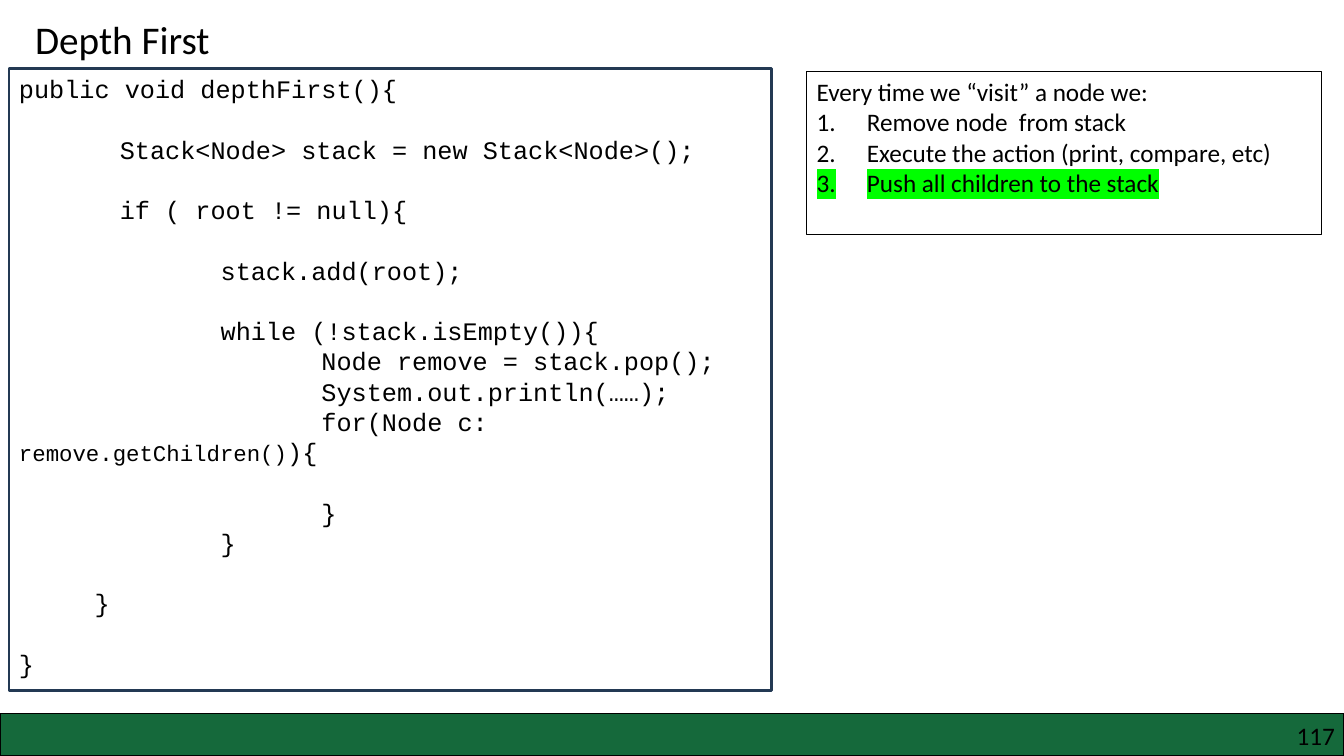
from lxml import etree
from pptx import Presentation
from pptx.dml.color import RGBColor
from pptx.enum.shapes import MSO_SHAPE
from pptx.enum.text import MSO_ANCHOR, PP_ALIGN
from pptx.oxml.ns import qn
from pptx.util import Inches, Pt

RECT = MSO_SHAPE.RECTANGLE
TOP = MSO_ANCHOR.TOP
LEFT, RIGHT = PP_ALIGN.LEFT, PP_ALIGN.RIGHT
LINE_PITCH = 21.6


def rgb(hex_color):
    return RGBColor.from_string(hex_color)


class SlideBuilder:
    body_font = "Calibri"
    code_font = "Courier New"
    ink = "000000"

    def __init__(self, slide):
        self.s = slide

    def style(self, r, size=18, font=None, highlight=None):
        r.font.size = Pt(size)
        r.font.name = font or self.body_font
        r.font.color.rgb = rgb(self.ink)
        if highlight:
            mark = etree.Element(qn("a:highlight"))
            etree.SubElement(mark, qn("a:srgbClr"), val=highlight)
            r.font._element.find(qn("a:solidFill")).addnext(mark)

    def box(self, x, y, w, h, line, width, fill=None):
        sp = self.s.shapes.add_shape(RECT, Inches(x), Inches(y), Inches(w), Inches(h))
        sp.shadow.inherit = False
        if fill:
            sp.fill.solid()
            sp.fill.fore_color.rgb = rgb(fill)
        else:
            sp.fill.background()
        sp.line.color.rgb = rgb(line)
        sp.line.width = Pt(width)
        tf = sp.text_frame
        tf.word_wrap = True
        tf.vertical_anchor = TOP
        return tf

    def label(self, text, x, y, w, h, size, align=LEFT, inset=None):
        tf = self.s.shapes.add_textbox(Inches(x), Inches(y), Inches(w), Inches(h)).text_frame
        tf.word_wrap = True
        if inset is not None:
            tf.margin_left = tf.margin_right = Inches(inset)
            tf.margin_top = tf.margin_bottom = Inches(inset)
        p = tf.paragraphs[0]
        p.text = text
        p.alignment = align
        self.style(p.runs[0], size)

    def paragraph(self, tf, first):
        p = tf.paragraphs[0] if first else tf.add_paragraph()
        p.alignment = LEFT
        p.line_spacing = Pt(LINE_PITCH)
        return p

    def code(self, tf, lines):
        """Each line is (blank lines above, [(text, size), ...])."""
        for i, (gap, parts) in enumerate(lines):
            p = self.paragraph(tf, i == 0)
            p._p.get_or_add_pPr().set("defTabSz", str(Inches(1)))
            if gap:
                p.space_before = Pt(gap * LINE_PITCH)
            for text, size in parts:
                r = p.add_run()
                r.text = text
                self.style(r, size, self.code_font)

    def numbered_list(self, tf, heading, items):
        p = self.paragraph(tf, True)
        p.text = heading
        self.style(p.runs[0])
        for text, highlight in items:
            p = self.paragraph(tf, False)
            p.text = text
            pPr = p._p.get_or_add_pPr()
            pPr.set("marL", str(Inches(0.5)))
            pPr.set("indent", str(Inches(-0.5)))
            etree.SubElement(pPr, qn("a:buAutoNum"), type="arabicPeriod")
            self.style(p.runs[0], highlight=highlight)


def main():
    prs = Presentation()
    prs.slide_width, prs.slide_height = Inches(13.33), Inches(7.5)
    b = SlideBuilder(prs.slides.add_slide(prs.slide_layouts[6]))

    # Footer bar with page number
    b.box(0, 7.08, 13.33, 0.42, "000000", 1, "15693B")
    b.label("117", 10.17, 7.15, 3.07, 0.3, 18, RIGHT, 0)

    # Title
    b.label("Depth First", 0.25, 0.1, 2.13, 0.57, 28)

    # Code listing
    b.code(b.box(0.09, 0.68, 7.56, 6.17, "233953", 2), [
        (0, [("public void depthFirst(){", 18)]),
        (1, [("\tStack<Node> stack = new Stack<Node>();", 18)]),
        (1, [("\tif ( root != null){", 18)]),
        (1, [("\t\tstack.add(root);", 18)]),
        (1, [("\t\twhile (!stack.isEmpty()){", 18)]),
        (0, [("\t\t\tNode remove = stack.pop();", 18)]),
        (0, [("\t\t\tSystem.out.println(……);", 18)]),
        (0, [("\t\t\tfor(Node c: ", 18), ("remove.getChildren()", 16), ("){", 18)]),
        (1, [("\t\t\t}", 18)]),
        (0, [("\t\t}", 18)]),
        (1, [("     }", 18)]),
        (1, [("}", 18)]),
    ])

    # Steps for each visit
    b.numbered_list(
        b.box(8, 0.71, 5.11, 1.62, "000000", 0.75),
        "Every time we “visit” a node we:",
        [("Remove node  from stack", None),
         ("Execute the action (print, compare, etc)", None),
         ("Push all children to the stack", "00FF00")])

    prs.save("out.pptx")


if __name__ == "__main__":
    main()
